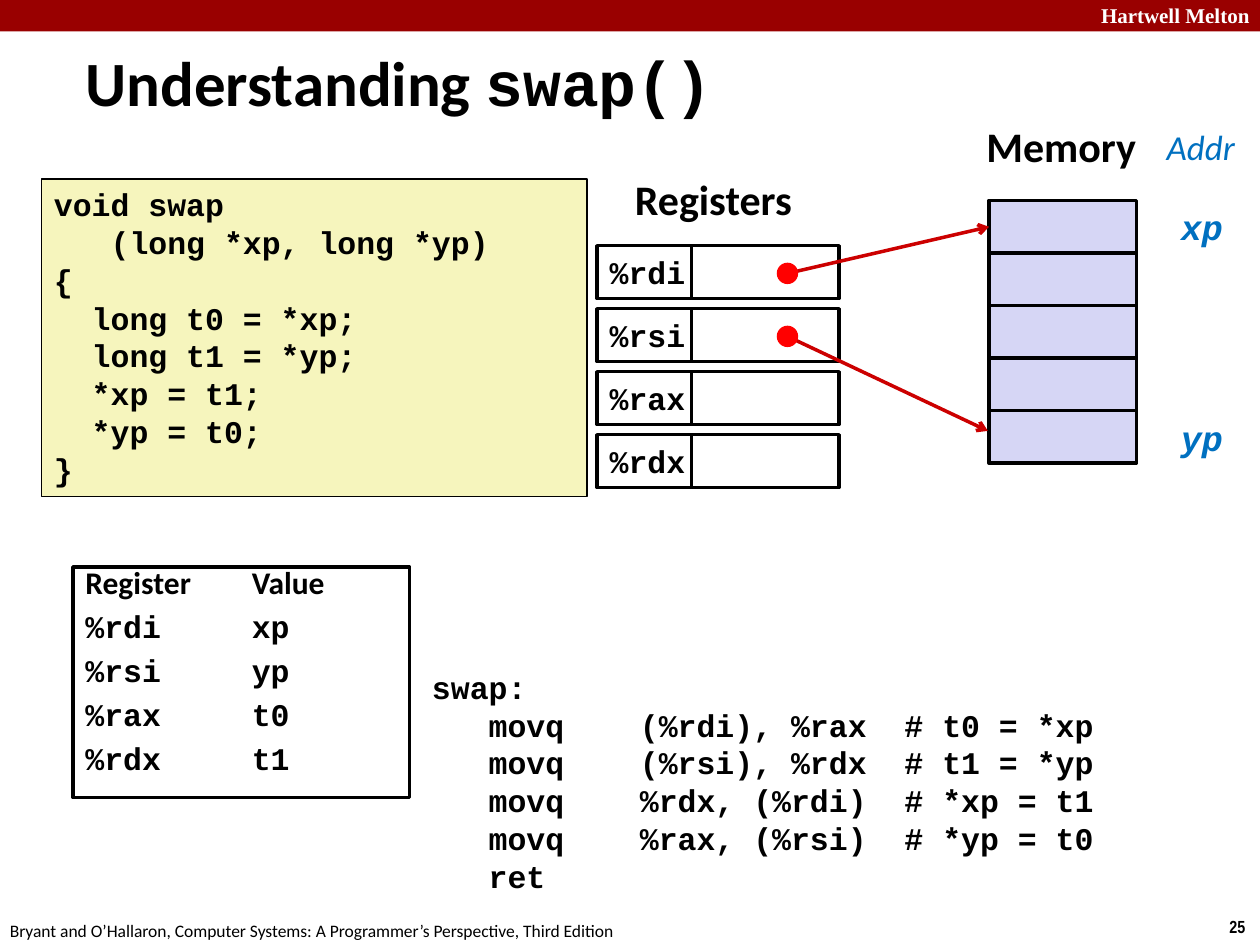
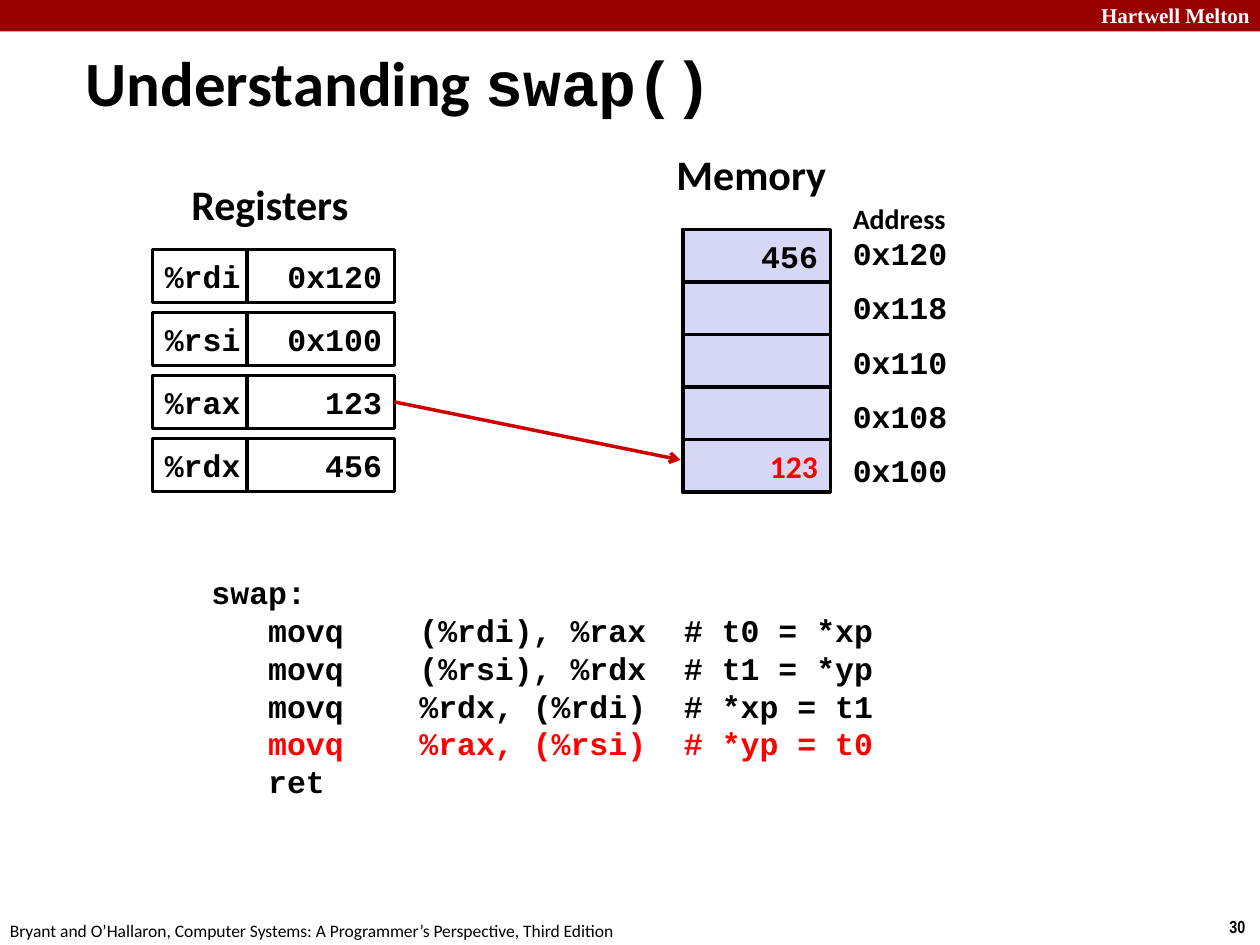
from lxml.etree import SubElement
from pptx import Presentation
from pptx.dml.color import RGBColor
from pptx.enum.shapes import MSO_CONNECTOR, MSO_SHAPE
from pptx.enum.text import MSO_ANCHOR, MSO_AUTO_SIZE, PP_ALIGN
from pptx.oxml.ns import qn
from pptx.util import Inches, Pt

# Colours and fonts
BLACK = RGBColor(0x00, 0x00, 0x00)
WHITE = RGBColor(0xFF, 0xFF, 0xFF)
BAND_RED = RGBColor(0x99, 0x00, 0x00)
ARROW_RED = RGBColor(0xCC, 0x00, 0x00)
BRIGHT_RED = RGBColor(0xFF, 0x00, 0x00)
CODE_YELLOW = RGBColor(0xF6, 0xF5, 0xBD)
MEMORY_LILAC = RGBColor(0xD6, 0xD6, 0xF5)
ADDRESS_BLUE = RGBColor(0x00, 0x70, 0xC0)
SANS, MONO = "Calibri", "Courier New"

# Shared content
SCHOOL = "Hartwell Melton"
FOOTER = ("Bryant and O’Hallaron, Computer Systems: "
          "A Programmer’s Perspective, Third Edition")
REGISTERS = ["%rdi", "%rsi", "%rax", "%rdx"]
ASSEMBLY = [
    "swap:",
    "\tmovq\t(%rdi), %rax\t# t0 = *xp",
    "\tmovq\t(%rsi), %rdx\t# t1 = *yp",
    "\tmovq\t%rdx, (%rdi)\t# *xp = t1",
    "\tmovq\t%rax, (%rsi)\t# *yp = t0",
    "\tret",
]

# Content of the first slide
C_CODE = [
    "void swap",
    "\t\t(long *xp, long *yp)",
    "{",
    "\tlong t0 = *xp;",
    "\tlong t1 = *yp;",
    "\t*xp = t1;",
    "\t*yp = t0;",
    "}",
]
REGISTER_ROLES = ["xp", "yp", "t0", "t1"]
POINTER_ARROWS = [((6.25, 2.17), (7.85, 1.8)), ((6.25, 2.67), (7.84, 3.42))]
POINTER_NAMES = [("xp", 1.58), ("yp", 3.26)]

# Content of the second slide
REGISTER_VALUES = ["0x120", "0x100", "123", "456"]
ADDRESSES = ["0x120", "0x118", "0x110", "0x108", "0x100"]
STORED_LINE = 4

# Sizes in inches
REGISTER_WIDTH, VALUE_WIDTH, CELL_HEIGHT = 0.75, 1.17, 0.42
REGISTER_PITCH, MEMORY_PITCH, ADDRESS_PITCH = 0.5, 5 / 12, 0.43
MEMORY_CELLS = 5
DOT = 0.17
CODE_TABS = [0.3, 0.45]
ASSEMBLY_TABS = [0.45, 1.65, 3.75]


def add_run(paragraph, text, size=18, font=MONO, color=BLACK, bold=True, italic=False):
    run = paragraph.add_run()
    run.text = text
    run.font.size = Pt(size)
    run.font.name = font
    run.font.color.rgb = color
    run.font.bold = bold
    run.font.italic = italic


def set_tabs(paragraph, stops):
    tab_list = SubElement(paragraph._p.get_or_add_pPr(), qn("a:tabLst"))
    for stop in stops:
        SubElement(tab_list, qn("a:tab"), pos=str(Inches(stop)), algn="l")


def paragraphs_for(frame, count):
    return [frame.paragraphs[0]] + [frame.add_paragraph() for _ in range(count - 1)]


def add_text(slide, box, text, align=PP_ALIGN.LEFT, wrap=False, **style):
    shape = slide.shapes.add_textbox(*map(Inches, box))
    frame = shape.text_frame
    frame.word_wrap = wrap
    frame.auto_size = MSO_AUTO_SIZE.SHAPE_TO_FIT_TEXT
    frame.paragraphs[0].alignment = align
    add_run(frame.paragraphs[0], text, **style)


def add_box(slide, box, fill=None, line=None, width=2, kind=MSO_SHAPE.RECTANGLE):
    shape = slide.shapes.add_shape(kind, *map(Inches, box))
    shape.shadow.inherit = False
    if fill is None:
        shape.fill.background()
    else:
        shape.fill.solid()
        shape.fill.fore_color.rgb = fill
    if line is None:
        shape.line.fill.background()
    else:
        shape.line.color.rgb = line
        shape.line.width = Pt(width)
    return shape


def add_cell(slide, left, top, width, fill, text="", align=PP_ALIGN.RIGHT, **style):
    shape = add_box(slide, (left, top, width, CELL_HEIGHT), fill, BLACK)
    if text:
        frame = shape.text_frame
        frame.word_wrap = False
        frame.vertical_anchor = MSO_ANCHOR.MIDDLE
        frame.paragraphs[0].alignment = align
        add_run(frame.paragraphs[0], text, **style)


def add_arrow(slide, start, end):
    connector = slide.shapes.add_connector(
        MSO_CONNECTOR.STRAIGHT, *map(Inches, start + end))
    connector.line.color.rgb = ARROW_RED
    connector.line.width = Pt(2)
    SubElement(connector.line._get_or_add_ln(), qn("a:tailEnd"), type="arrow")
    SubElement(connector._element.spPr, qn("a:effectLst"))


def fill_code(frame, lines, stops, red_line=None):
    frame.word_wrap = True
    frame.vertical_anchor = MSO_ANCHOR.TOP
    for index, paragraph in enumerate(paragraphs_for(frame, len(lines))):
        paragraph.alignment = PP_ALIGN.LEFT
        set_tabs(paragraph, stops)
        add_run(paragraph, lines[index],
                color=BRIGHT_RED if index == red_line else BLACK)


def add_assembly(slide, left, top, red_line=None):
    shape = slide.shapes.add_textbox(*map(Inches, (left, top, 6.42, 1.92)))
    fill_code(shape.text_frame, ASSEMBLY, ASSEMBLY_TABS, red_line)


def add_registers(slide, left, top, values):
    for row, name in enumerate(REGISTERS):
        y = top + row * REGISTER_PITCH
        add_cell(slide, left, y, REGISTER_WIDTH, WHITE, name, PP_ALIGN.LEFT)
        add_cell(slide, left + REGISTER_WIDTH, y, VALUE_WIDTH, WHITE, values[row])


def add_memory(slide, left, top):
    for row in range(MEMORY_CELLS):
        add_cell(slide, left, top + row * MEMORY_PITCH, VALUE_WIDTH, MEMORY_LILAC)


def add_heading(slide, left, top, text):
    add_text(slide, (left, top, 1.48, 0.5), text, size=24, font=SANS)


def start_slide(presentation, number):
    """Band, footer, slide number and title."""
    slide = presentation.slides.add_slide(presentation.slide_layouts[5])
    add_box(slide, (0, 0, 10, 0.25), BAND_RED)
    add_text(slide, (8.64, -0.03, 1.43, 0.3), SCHOOL, wrap=True,
             size=12, font="Times New Roman", color=WHITE)
    add_text(slide, (9.66, 7.22, 0.34, 0.27), number, size=10, font="Arial Narrow")
    add_text(slide, (-0.02, 7.25, 5.08, 0.27), FOOTER, size=10, font=SANS, bold=False)

    title = slide.shapes.title
    title.left, title.top, title.width, title.height = map(
        Inches, (0.58, 0.33, 6.97, 0.63))
    frame = title.text_frame
    frame.auto_size = MSO_AUTO_SIZE.NONE
    frame.vertical_anchor = MSO_ANCHOR.MIDDLE
    frame.paragraphs[0].alignment = PP_ALIGN.LEFT
    add_run(frame.paragraphs[0], "Understanding ", size=36, font=SANS)
    add_run(frame.paragraphs[0], "swap()", size=36)
    return slide


def build_pointer_slide(presentation):
    slide = start_slide(presentation, "25")
    add_registers(slide, 4.74, 1.95, [""] * len(REGISTERS))
    code = add_box(slide, (0.33, 1.42, 4.33, 2.52), CODE_YELLOW, BLACK, 1)
    fill_code(code.text_frame, C_CODE, CODE_TABS)

    # Which register holds which value
    roles = add_box(slide, (0.58, 4.5, 2.67, 1.83), None, BLACK)
    frame = roles.text_frame
    frame.vertical_anchor = MSO_ANCHOR.TOP
    rows = [("Register", "Value")] + list(zip(REGISTERS, REGISTER_ROLES))
    for index, paragraph in enumerate(paragraphs_for(frame, len(rows))):
        paragraph.alignment = PP_ALIGN.LEFT
        paragraph.line_spacing = 0.7
        paragraph.space_before = Pt(10 if index else 0)
        set_tabs(paragraph, [1.32])
        add_run(paragraph, "\t".join(rows[index]), font=MONO if index else SANS)

    add_assembly(slide, 3.33, 5.25)
    add_heading(slide, 4.94, 1.33, "Registers")
    add_heading(slide, 7.73, 0.91, "Memory")
    add_memory(slide, 7.85, 1.59)

    # Pointers into memory
    for start, end in POINTER_ARROWS:
        add_arrow(slide, start, end)
        add_box(slide, (start[0] - DOT / 2, start[1] - DOT / 2, DOT, DOT),
                BRIGHT_RED, kind=MSO_SHAPE.OVAL)
    add_text(slide, (9.16, 0.95, 0.75, 0.44), "Addr", size=20, font=SANS,
             color=ADDRESS_BLUE, bold=False, italic=True)
    for name, top in POINTER_NAMES:
        add_text(slide, (9.27, top, 0.54, 0.44), name, PP_ALIGN.CENTER,
                 size=20, color=ADDRESS_BLUE, italic=True)


def build_store_slide(presentation):
    slide = start_slide(presentation, "30")

    # Memory after the last store
    left, top = 5.42, 1.82
    add_memory(slide, left, top)
    add_cell(slide, left, top, VALUE_WIDTH, MEMORY_LILAC, "456")
    add_cell(slide, left, top + (MEMORY_CELLS - 1) * MEMORY_PITCH, VALUE_WIDTH,
             MEMORY_LILAC, "123", font=SANS, color=BRIGHT_RED)

    add_registers(slide, 1.21, 1.98, REGISTER_VALUES)
    add_heading(slide, 1.42, 1.37, "Registers")
    add_heading(slide, 5.27, 1.13, "Memory")
    add_arrow(slide, (3.13, 3.19), (5.4, 3.65))
    add_assembly(slide, 1.58, 4.5, STORED_LINE)

    # Addresses beside the cells
    add_text(slide, (6.67, 1.55, 1.33, 0.37), "Address", wrap=True, size=16, font=SANS)
    for row, address in enumerate(ADDRESSES):
        add_text(slide, (6.67, 1.81 + row * ADDRESS_PITCH, 1.33, 0.4), address, wrap=True)


def main():
    presentation = Presentation()
    presentation.slide_width, presentation.slide_height = Inches(10), Inches(7.5)
    build_pointer_slide(presentation)
    build_store_slide(presentation)
    presentation.save("out.pptx")


if __name__ == "__main__":
    main()
